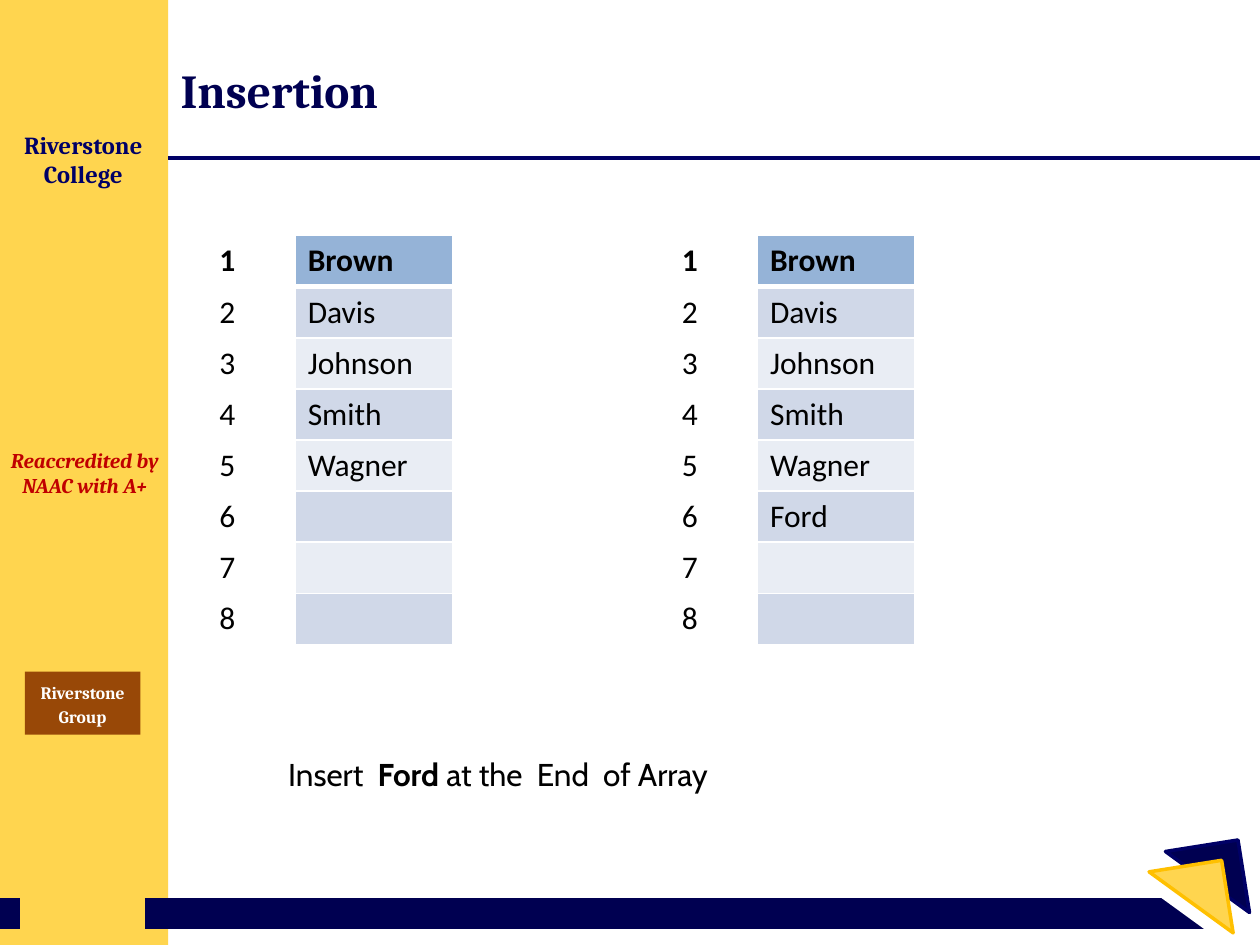
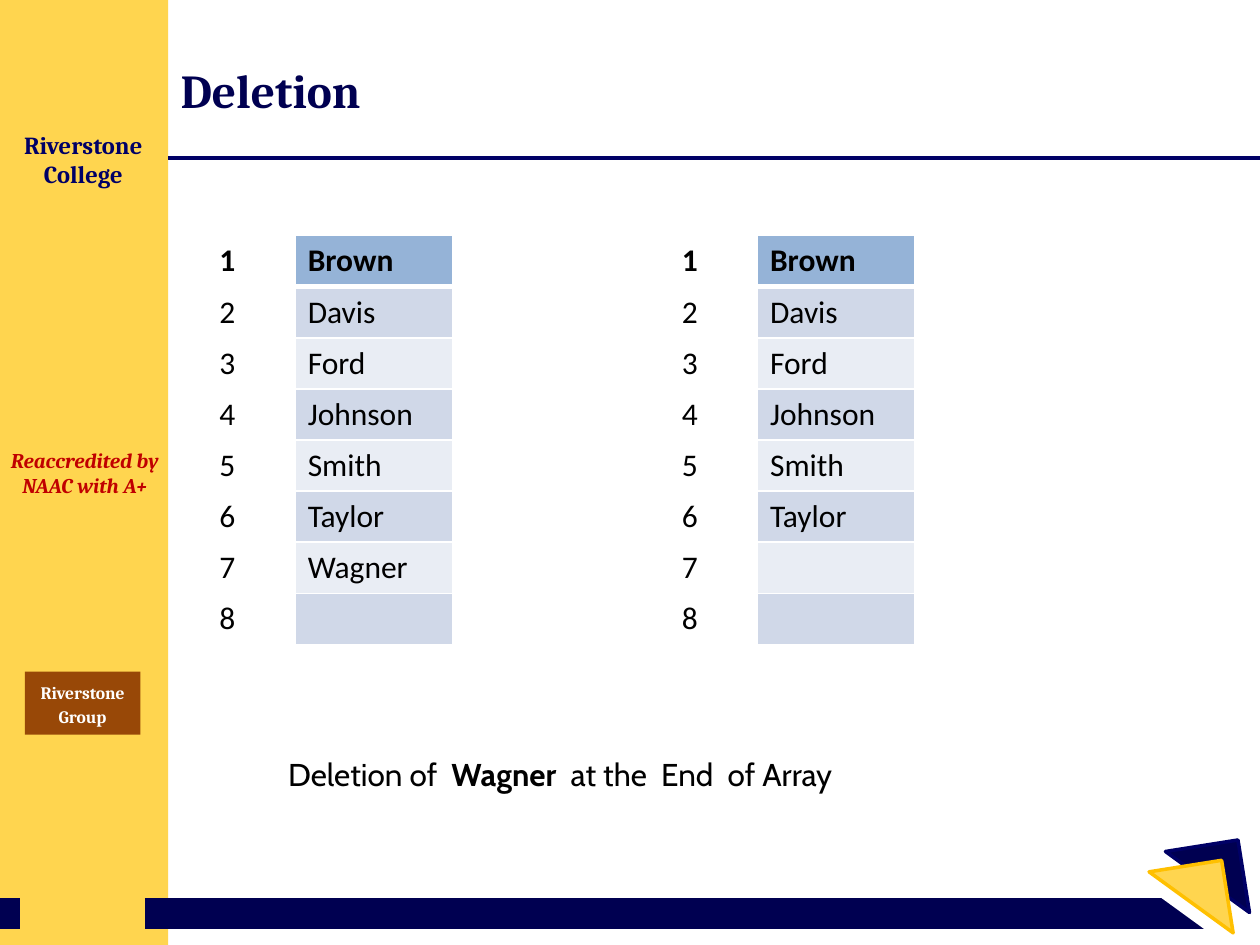
from lxml import etree
from pptx import Presentation
from pptx import util as u
from pptx.dml.color import RGBColor
from pptx.enum import shapes, text
from pptx.oxml import ns

Cm = u.Cm

# Colours
NAVY = RGBColor(0x00, 0x00, 0x51)
INK = RGBColor(0x00, 0x00, 0x66)
GOLD = RGBColor(0xFF, 0xD5, 0x4F)
AMBER = RGBColor(0xFF, 0xC0, 0x00)
RED = RGBColor(0xC0, 0x00, 0x00)
BROWN = RGBColor(0x98, 0x48, 0x07)
WHITE = RGBColor(0xFF, 0xFF, 0xFF)
BLACK = RGBColor(0x00, 0x00, 0x00)
HEAD = RGBColor(0x95, 0xB3, 0xD7)
BANDS = RGBColor(0xD0, 0xD8, 0xE8), RGBColor(0xE9, 0xED, 0xF4)

# Text styles
TITLE = dict(name="Cambria", size=27, bold=True, color=NAVY)
SCHOOL = dict(name="Cambria", size=14, bold=True, color=INK)
GRADE = dict(name="Cambria", size=12, bold=True, italic=True, color=RED)
BADGE = dict(name="Cambria", size=10, bold=True, color=WHITE)
CELL = dict(name="Calibri", size=18, bold=False, color=BLACK)
NOTE = dict(name="Cabin", size=18, bold=False, color=BLACK)

# Page measures in cm
WIDE, HIGH = 25.4, 19.05
SIDE = 3.39
FOOT = 18.42
SLOTS = 8
TABLES = 4.17, 13.49

# Title, array before, array after, caption parts (the middle one is bold)
PAGES = [
    ("Insertion",
     ["Brown", "Davis", "Johnson", "Smith", "Wagner"],
     ["Brown", "Davis", "Johnson", "Smith", "Wagner", "Ford"],
     ("Insert  ", "Ford", " at the  End  of Array")),
    ("Deletion",
     ["Brown", "Davis", "Ford", "Johnson", "Smith", "Taylor", "Wagner"],
     ["Brown", "Davis", "Ford", "Johnson", "Smith", "Taylor"],
     ("Deletion of  ", "Wagner ", " at the  End  of Array")),
]


def write(para, words, style):
    run = para.add_run()
    run.text = words
    for key, val in style.items():
        if key == "color":
            run.font.color.rgb = val
        else:
            setattr(run.font, key, u.Pt(val) if key == "size" else val)


def label(slide, box, parts, **form):
    """Add a text box with one paragraph of (words, style) parts."""
    frame = slide.shapes.add_textbox(*map(Cm, box)).text_frame
    frame.word_wrap = True
    frame.vertical_anchor = form.get("anchor", text.MSO_ANCHOR.TOP)
    para = frame.paragraphs[0]
    para.alignment = form.get("align", text.PP_ALIGN.LEFT)
    for words, style in parts:
        write(para, words, style)


def block(slide, kind, box, fill, edge=None):
    shape = slide.shapes.add_shape(kind, *map(Cm, box))
    shape.shadow.inherit = False
    shape.fill.solid()
    shape.fill.fore_color.rgb = fill
    if edge is None:
        shape.line.fill.background()
    else:
        shape.line.color.rgb = edge
        shape.line.width = u.Pt(2)
    return shape


def rule(slide, left, right, y, color, width):
    line = slide.shapes.add_connector(
        shapes.MSO_CONNECTOR.STRAIGHT, Cm(left), Cm(y), Cm(right), Cm(y))
    line.line.color.rgb = color
    line.line.width = u.Pt(width)
    etree.SubElement(line._element.spPr, ns.qn("a:effectLst"))


def wedge(slide, left, top, fill, edge):
    kind = shapes.MSO_SHAPE.ISOSCELES_TRIANGLE
    shape = block(slide, kind, (left, top, 1.48, 1.48), fill, edge)
    shape.adjustments[0] = 0
    shape.rotation = 261
    shape._element.spPr.find(ns.qn("a:xfrm")).set("flipH", "1")


def border(cell, widths):
    """Draw white cell borders; they must precede the cell's fill."""
    props = cell._tc.get_or_add_tcPr()
    for spot, (side, width) in enumerate(widths.items()):
        line = etree.Element(ns.qn("a:ln" + side), w=str(u.Pt(width)))
        fill = etree.SubElement(line, ns.qn("a:solidFill"))
        etree.SubElement(fill, ns.qn("a:srgbClr"), val=str(WHITE))
        props.insert(spot, line)


def array(slide, left, names):
    """Add a table of numbered slots, filled from the top with names."""
    grid = slide.shapes.add_table(
        SLOTS, 2, Cm(left), Cm(4.75), Cm(4.95), Cm(1.03 * SLOTS)).table
    grid.first_row = grid.horz_banding = False
    for col, width in zip(grid.columns, (1.78, 3.17)):
        col.width = Cm(width)
    for row in range(SLOTS):
        name = names[row] if row < len(names) else ""
        style = dict(CELL, bold=row == 0)
        for col, words in enumerate((str(row + 1), name)):
            cell = grid.cell(row, col)
            if words:
                write(cell.text_frame.paragraphs[0], words, style)
            if col == 0:
                cell.fill.background()
            else:
                cell.fill.solid()
                cell.fill.fore_color.rgb = BANDS[(row - 1) % 2] if row else HEAD
            border(cell, dict(L=1, R=1, T=3 if row == 1 else 1,
                              B=3 if row == 0 else 1))


def frame(slide):
    """Draw the side band, footer and header rule that every slide has."""
    mid = text.PP_ALIGN.CENTER
    rect = shapes.MSO_SHAPE.RECTANGLE
    block(slide, rect, (0, 0, SIDE, HIGH), GOLD)
    # Footer and corner
    rule(slide, 2.92, 24.56, FOOT, NAVY, 18)
    wedge(slide, 23.17, 17.68, WHITE, WHITE)
    wedge(slide, 23.6, 17.04, NAVY, INK)
    wedge(slide, 23.27, 17.45, GOLD, AMBER)
    # Side band texts
    label(slide, (-0.13, 8.89, 3.68, 1.27),
          [("Reaccredited by NAAC with A+", GRADE)], align=mid)
    badge = block(slide, rect, (0.5, 13.54, 2.33, 1.27), BROWN).text_frame
    badge.word_wrap = True
    badge.vertical_anchor = text.MSO_ANCHOR.MIDDLE
    para = badge.paragraphs[0]
    para.alignment, para.line_spacing = mid, 1.15
    write(para, "Riverstone Group", BADGE)
    label(slide, (0.08, 2.49, 3.2, 1.45),
          [("Riverstone College", SCHOOL)], align=mid)
    # Footer stub and header rule
    rule(slide, 0, 0.41, FOOT, NAVY, 18)
    rule(slide, SIDE, WIDE, 3.18, INK, 2.25)


def main():
    deck = Presentation()
    deck.slide_width, deck.slide_height = Cm(WIDE), Cm(HIGH)
    for title, before, after, note in PAGES:
        slide = deck.slides.add_slide(deck.slide_layouts[6])
        frame(slide)
        label(slide, (SIDE, 0.63, 21.39, 2.34), [(title, TITLE)],
              anchor=text.MSO_ANCHOR.MIDDLE)
        for left, names in zip(TABLES, (before, after)):
            array(slide, left, names)
        styles = NOTE, dict(NOTE, bold=True), NOTE
        label(slide, (5.56, 15.09, 14.3, 1.02), zip(note, styles))
    deck.save("out.pptx")


main()
